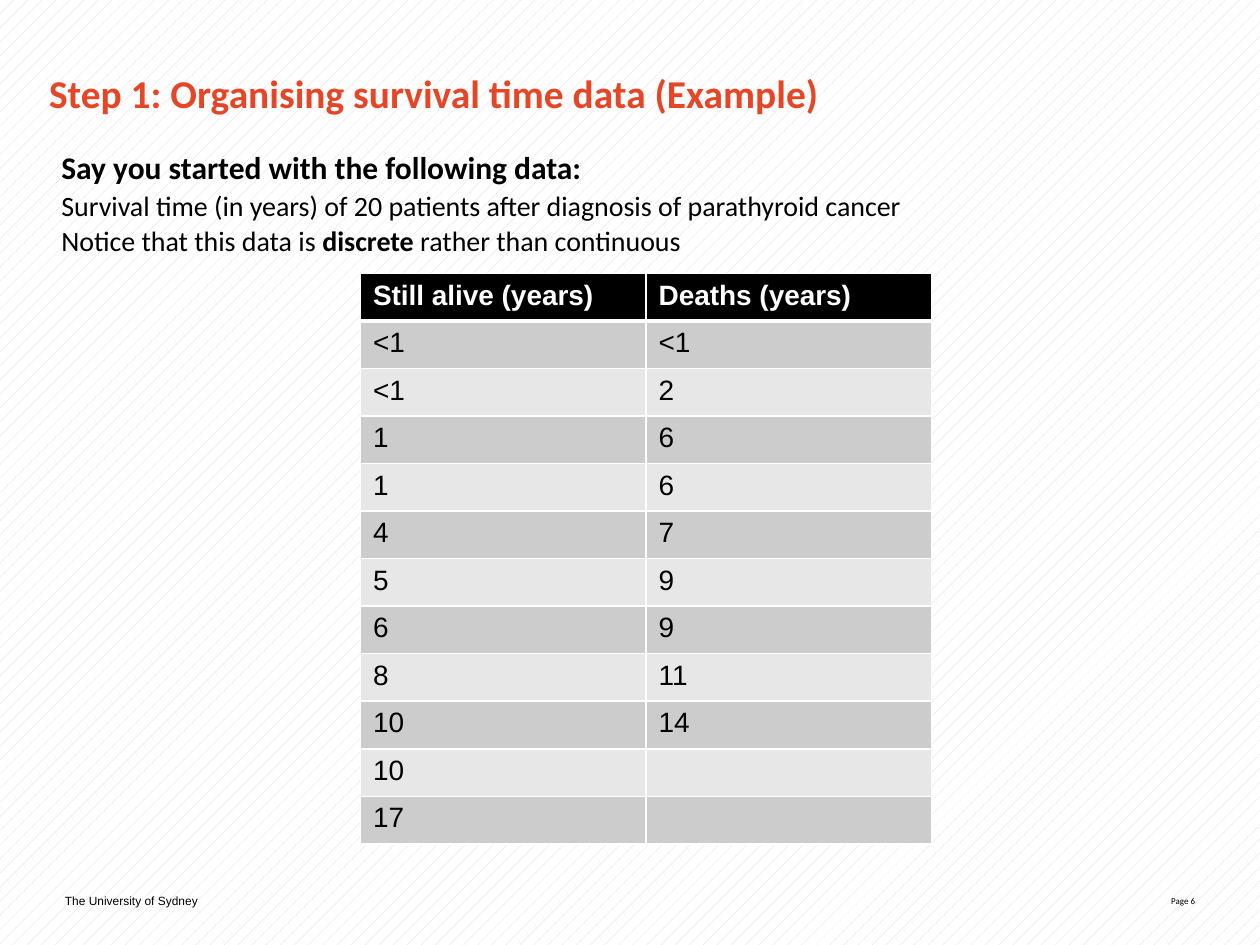
from lxml import etree
from pptx import Presentation
from pptx.dml.color import RGBColor
from pptx.enum.dml import MSO_PATTERN
from pptx.enum.text import MSO_ANCHOR, PP_ALIGN
from pptx.oxml.ns import qn
from pptx.util import Pt

TITLE_ONLY = 5
DOTS = MSO_PATTERN.PERCENT_10
TOP, MIDDLE = MSO_ANCHOR.TOP, MSO_ANCHOR.MIDDLE
LEFT, RIGHT = PP_ALIGN.LEFT, PP_ALIGN.RIGHT

BLACK, WHITE, ORANGE = "000000", "FFFFFF", "E64626"
BANDS = ("CCCCCC", "E7E7E7")

TITLE = {"name": "Calibri", "size": Pt(22.5), "bold": True, "color": ORANGE}
LEAD = {"name": "Calibri", "size": Pt(18), "bold": True, "color": BLACK}
BODY = {**LEAD, "size": Pt(16), "bold": False}
STRONG = {**BODY, "bold": True}
HEADER = {"name": "Arial", "size": Pt(16), "bold": True, "color": WHITE}
CELL = {**HEADER, "bold": False, "color": BLACK}
FOOTER = {"name": "Arial", "size": Pt(6.8), "color": BLACK}
PAGE = {"name": "Calibri", "size": Pt(5.1), "color": BLACK}

INTRO = [
    [("Say you started with the following data:", LEAD)],
    [("Survival time (in years) of 20 patients after diagnosis of "
      "parathyroid cancer", BODY)],
    [("Notice that this data is ", BODY), ("discrete", STRONG),
     (" rather than continuous", BODY)],
]
SURVIVAL = [
    ("Still alive (years)", "Deaths (years)"),
    ("<1", "<1"), ("<1", "2"), ("1", "6"), ("1", "6"), ("4", "7"), ("5", "9"),
    ("6", "9"), ("8", "11"), ("10", "14"), ("10", ""), ("17", ""),
]


def rgb(value):
    return RGBColor.from_string(value)


def add_run(paragraph, text, style):
    run = paragraph.add_run()
    run.text = text
    for key, value in style.items():
        if key == "color":
            run.font.color.rgb = rgb(value)
        else:
            setattr(run.font, key, value)


def set_background(slide):
    fill = slide.background.fill
    fill.patterned()
    fill.pattern = DOTS
    fill.fore_color.rgb = rgb("D9D9D9")
    fill.back_color.rgb = rgb(WHITE)


def set_title(slide, text):
    title = slide.shapes.title
    title.left, title.top = Pt(28), Pt(39.6)
    title.width, title.height = Pt(664), Pt(51)
    frame = title.text_frame
    margins = ("margin_left", "margin_top", "margin_right", "margin_bottom")
    for margin in margins:
        setattr(frame, margin, 0)
    frame.vertical_anchor = TOP
    frame.paragraphs[0].alignment = LEFT
    add_run(frame.paragraphs[0], text, TITLE)


def add_text(slide, box, lines, anchor=TOP, align=LEFT, spacing=1.0, gap=0):
    frame = slide.shapes.add_textbox(*map(Pt, box)).text_frame
    frame.word_wrap = True
    frame.vertical_anchor = anchor
    for index, runs in enumerate(lines):
        paragraph = frame.add_paragraph() if index else frame.paragraphs[0]
        paragraph.alignment = align
        paragraph.line_spacing = spacing
        if index and gap:
            paragraph.space_before = Pt(gap)
        for text, style in runs:
            add_run(paragraph, text, style)


def set_borders(cell, widths):
    properties = cell._tc.get_or_add_tcPr()
    for side, width in widths.items():
        line = etree.SubElement(properties, qn(f"a:ln{side}"), w=str(Pt(width)))
        fill = etree.SubElement(line, qn("a:solidFill"))
        etree.SubElement(fill, qn("a:srgbClr"), val=WHITE)


def fill_cell(cell, text, row):
    # The line below the header is thicker than the rest of the grid
    set_borders(cell, {"L": 1, "R": 1, "T": 3 if row == 1 else 1,
                       "B": 3 if row == 0 else 1})
    cell.fill.solid()
    cell.fill.fore_color.rgb = rgb(BANDS[(row - 1) % 2] if row else BLACK)
    paragraph = cell.text_frame.paragraphs[0]
    if text:
        add_run(paragraph, text, CELL if row else HEADER)
    else:
        # Empty cells keep the text size so that rows stay equal
        etree.SubElement(paragraph._p, qn("a:endParaRPr"), sz="1600")


def add_survival_table(slide, left, top, column_width, row_height):
    rows, columns = len(SURVIVAL), len(SURVIVAL[0])
    table = slide.shapes.add_table(
        rows, columns, Pt(left), Pt(top),
        Pt(column_width * columns), Pt(row_height * rows)).table
    for column in table.columns:
        column.width = Pt(column_width)
    for row, values in enumerate(SURVIVAL):
        table.rows[row].height = Pt(row_height)
        for column, text in enumerate(values):
            fill_cell(table.cell(row, column), text, row)


def main():
    deck = Presentation()
    deck.slide_width, deck.slide_height = Pt(720), Pt(540)
    slide = deck.slides.add_slide(deck.slide_layouts[TITLE_ONLY])
    set_background(slide)

    # Footer line
    add_text(slide, (522, 500.4, 168, 28.8), [[("Page 6", PAGE)]], MIDDLE, RIGHT)
    add_text(slide, (30, 500.4, 168, 28.8),
             [[("The University of Sydney", FOOTER)]], MIDDLE)

    # Title and introduction
    set_title(slide, "Step 1: Organising survival time data (Example)")
    add_text(slide, (28, 83.5, 656, 399), INTRO, spacing=0.9, gap=3.2)

    # Survival times
    add_survival_table(slide, 206, 156.3, 163.2, 27.18)

    deck.save("out.pptx")


if __name__ == "__main__":
    main()
